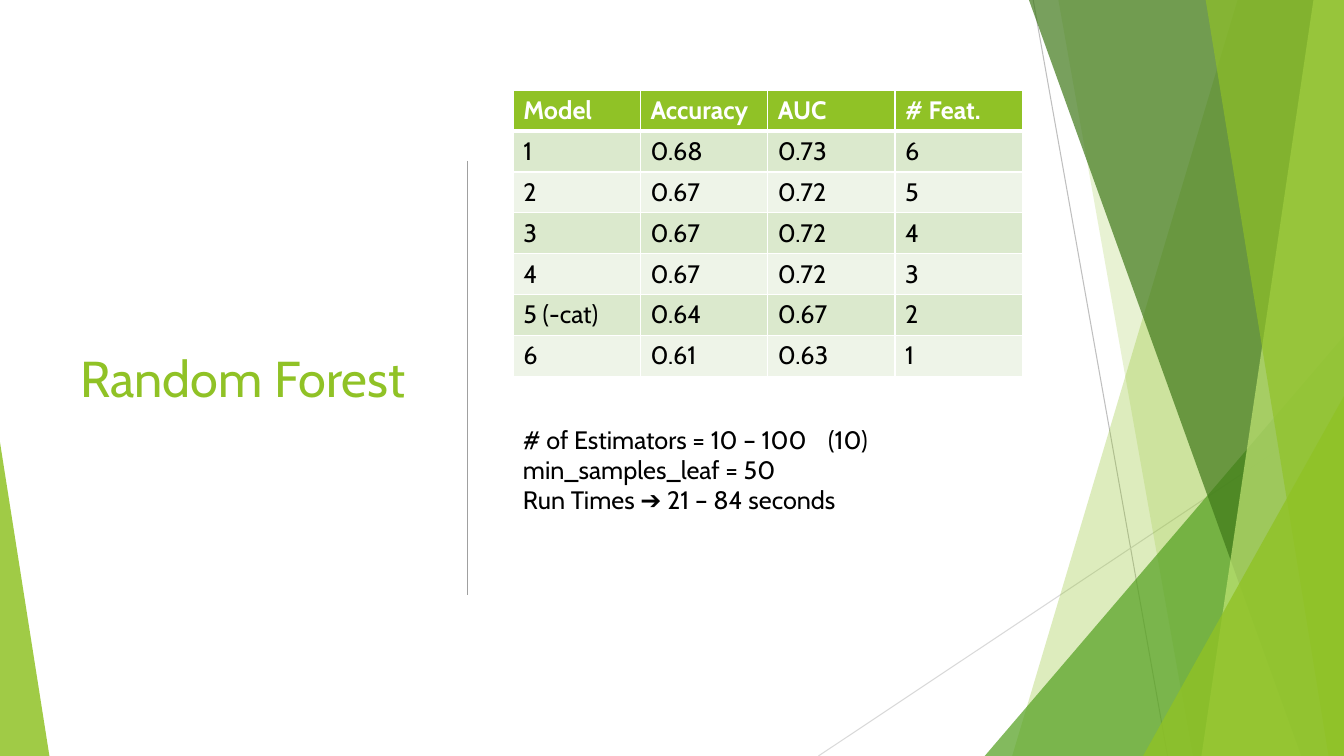
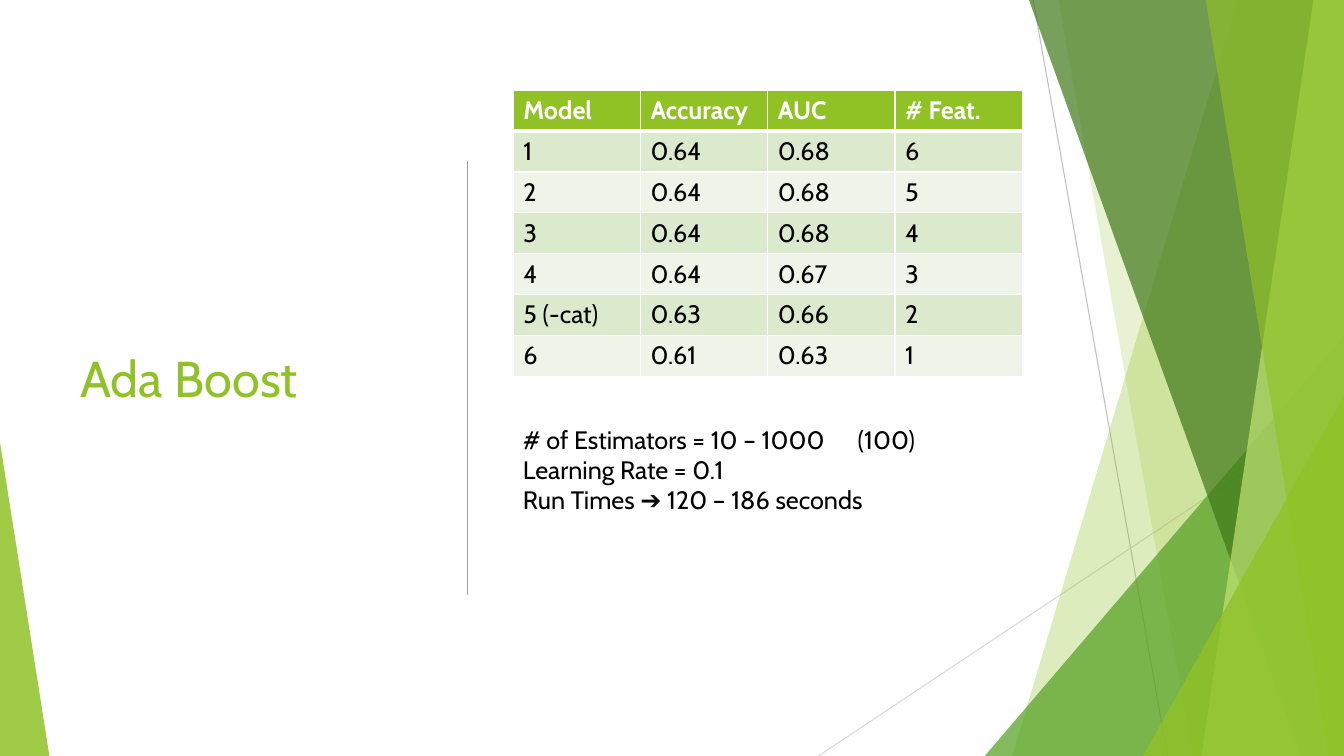
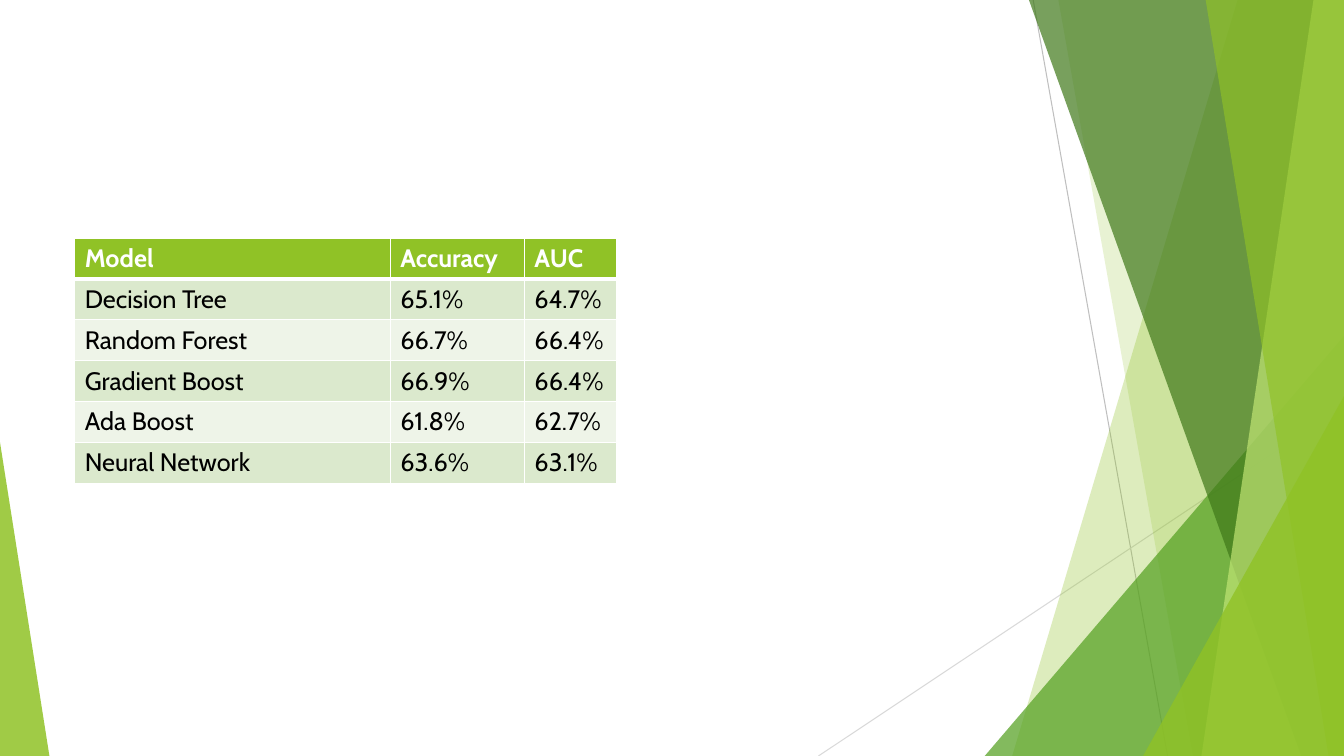
from lxml.etree import SubElement
from pptx import Presentation
from pptx.dml.color import RGBColor
from pptx.enum.shapes import MSO_CONNECTOR, MSO_SHAPE
from pptx.enum.text import MSO_ANCHOR, MSO_AUTO_SIZE
from pptx.oxml.ns import qn
from pptx.util import Pt

GREEN = RGBColor(0x90, 0xC2, 0x26)
LEAF = RGBColor(0x54, 0xA0, 0x21)
FOREST = RGBColor(0x3F, 0x78, 0x19)
LIME = RGBColor(0xC0, 0xE4, 0x74)
ROW_DARK = RGBColor(0xDB, 0xE9, 0xCD)
ROW_LIGHT = RGBColor(0xEE, 0xF4, 0xE8)
GRAY = RGBColor(0xA0, 0xA0, 0xA0)
SILVER = RGBColor(0xBF, 0xBF, 0xBF)
PALE_GRAY = RGBColor(0xD9, 0xD9, 0xD9)
WHITE = RGBColor(0xFF, 0xFF, 0xFF)
BLACK = RGBColor(0, 0, 0)
WIDTH, HEIGHT = 960, 540


def write_text(frame, text, size=18, color=BLACK, bold=False, tab_stop=None):
    for index, line in enumerate(text.split("\n")):
        paragraph = frame.add_paragraph() if index else frame.paragraphs[0]
        run = paragraph.add_run()
        run.text = line
        run.font.name = "Cabin"
        run.font.size = Pt(size)
        run.font.bold = bold
        run.font.color.rgb = color
        if tab_stop and "\t" in line:
            properties = paragraph._p.get_or_add_pPr()
            tab_list = SubElement(properties, qn("a:tabLst"))
            SubElement(tab_list, qn("a:tab"), pos=str(Pt(tab_stop)), algn="l")


class Deck:
    row_height = 29.2

    def __init__(self):
        self.presentation = Presentation()
        self.presentation.slide_width = Pt(WIDTH)
        self.presentation.slide_height = Pt(HEIGHT)
        self.slide = None

    def add_slide(self):
        layout = self.presentation.slide_layouts[6]
        self.slide = self.presentation.slides.add_slide(layout)
        self.add_line(738, 0, 834, HEIGHT, SILVER)
        self.add_line(WIDTH, 290, 584.6, HEIGHT, PALE_GRAY)
        self.add_band(884, 723, GREEN, 30)
        self.add_band(756, 852, GREEN, 20)
        self.add_triangle(703.4, 240, 256.6, 1, LEAF, 72)
        self.add_band(735, 929.5, FOREST, 70)
        self.add_band(938.2, 858.2, LIME, 70)
        self.add_band(861.2, 949, GREEN, 65)
        self.add_triangle(816.5, 283, 143.5, 1, GREEN, 80)
        self.add_triangle(0, 316, 35.3, 0, GREEN, 85)

    def add_line(self, left, top, right, bottom, color, width=0.75):
        line = self.slide.shapes.add_connector(
            MSO_CONNECTOR.STRAIGHT, Pt(left), Pt(top), Pt(right), Pt(bottom))
        line.line.color.rgb = color
        line.line.width = Pt(width)
        SubElement(line._element.spPr, qn("a:effectLst"))

    def paint(self, shape, color, opacity):
        shape.shadow.inherit = False
        shape.fill.solid()
        shape.fill.fore_color.rgb = color
        shape.line.fill.background()
        color_element = shape._element.spPr.find(".//" + qn("a:srgbClr"))
        SubElement(color_element, qn("a:alpha"), val=str(opacity * 1000))

    def add_band(self, top_x, bottom_x, color, opacity):
        builder = self.slide.shapes.build_freeform(Pt(top_x), 0)
        corners = [(WIDTH, 0), (WIDTH, HEIGHT), (bottom_x, HEIGHT)]
        builder.add_line_segments([(Pt(x), Pt(y)) for x, y in corners])
        self.paint(builder.convert_to_shape(), color, opacity)

    def add_triangle(self, left, top, width, apex, color, opacity):
        triangle = self.slide.shapes.add_shape(
            MSO_SHAPE.ISOSCELES_TRIANGLE,
            Pt(left), Pt(top), Pt(width), Pt(HEIGHT - top))
        triangle.adjustments[0] = apex
        self.paint(triangle, color, opacity)

    def add_text(self, text, left, top, width, height,
                 anchor=MSO_ANCHOR.TOP, fit=MSO_AUTO_SIZE.NONE, **text_format):
        box = self.slide.shapes.add_textbox(
            Pt(left), Pt(top), Pt(width), Pt(height))
        frame = box.text_frame
        frame.word_wrap = True
        frame.auto_size = fit
        frame.vertical_anchor = anchor
        write_text(frame, text, **text_format)

    def add_title(self, text):
        self.add_text(text, 50.4, 64, 265, 411, anchor=MSO_ANCHOR.MIDDLE,
                      size=36, color=GREEN)

    def set_borders(self, cell, top, bottom):
        properties = cell._tc.get_or_add_tcPr()
        widths = {"a:lnL": 1, "a:lnR": 1, "a:lnT": top, "a:lnB": bottom}
        for tag, width in widths.items():
            border = SubElement(properties, qn(tag), w=str(Pt(width)))
            fill = SubElement(border, qn("a:solidFill"))
            SubElement(fill, qn("a:srgbClr"), val=str(WHITE))

    def add_table(self, rows, left, top, column_widths):
        table = self.slide.shapes.add_table(
            len(rows), len(column_widths), Pt(left), Pt(top),
            Pt(sum(column_widths)), Pt(self.row_height * len(rows))).table
        for column, width in zip(table.columns, column_widths):
            column.width = Pt(width)
        for row_index, values in enumerate(rows):
            header = row_index == 0
            fill_color = ROW_DARK if row_index % 2 else ROW_LIGHT
            for column_index, value in enumerate(values):
                cell = table.cell(row_index, column_index)
                self.set_borders(cell, top=3 if row_index == 1 else 1,
                                 bottom=3 if header else 1)
                cell.fill.solid()
                cell.fill.fore_color.rgb = GREEN if header else fill_color
                write_text(cell.text_frame, value, bold=header,
                           color=WHITE if header else BLACK)

    def add_model_slide(self, title, scores, settings, tab_stop):
        self.add_slide()
        self.add_line(334, 115, 334, 425, GRAY)
        self.add_title(title)
        rows = [("Model", "Accuracy", "AUC", "# Feat.")]
        for name, score, features in zip(MODELS, scores, range(6, 0, -1)):
            rows.append((name, *score, str(features)))
        self.add_table(rows, 366.6, 64.4, [90.9] * 4)
        self.add_text(settings, 366.5, 299.5, 376.5, 72.7,
                      fit=MSO_AUTO_SIZE.SHAPE_TO_FIT_TEXT, tab_stop=tab_stop)


MODELS = ["1", "2", "3", "4", "5 (-cat)", "6"]
FOREST_SCORES = [("0.68", "0.73"), ("0.67", "0.72"), ("0.67", "0.72"),
                 ("0.67", "0.72"), ("0.64", "0.67"), ("0.61", "0.63")]
BOOST_SCORES = [("0.64", "0.68"), ("0.64", "0.68"), ("0.64", "0.68"),
                ("0.64", "0.67"), ("0.63", "0.66"), ("0.61", "0.63")]
SUMMARY = [
    ("Model", "Accuracy", "AUC"),
    ("Decision Tree", "65.1%", "64.7%"),
    ("Random Forest", "66.7%", "66.4%"),
    ("Gradient Boost", "66.9%", "66.4%"),
    ("Ada Boost", "61.8%", "62.7%"),
    ("Neural Network", "63.6%", "63.1%"),
]

deck = Deck()
deck.add_model_slide(
    "Random Forest", FOREST_SCORES,
    "# of Estimators = 10 – 100\t(10)\n"
    "min_samples_leaf = 50\n"
    "Run Times ➔ 21 – 84 seconds", tab_stop=218)
deck.add_model_slide(
    "Ada Boost", BOOST_SCORES,
    "# of Estimators = 10 – 1000\t(100)\n"
    "Learning Rate = 0.1\n"
    "Run Times ➔ 120 – 186 seconds", tab_stop=239)
deck.add_slide()
deck.add_table(SUMMARY, 53.4, 170, [225.4, 95.8, 65.9])
deck.presentation.save("out.pptx")
